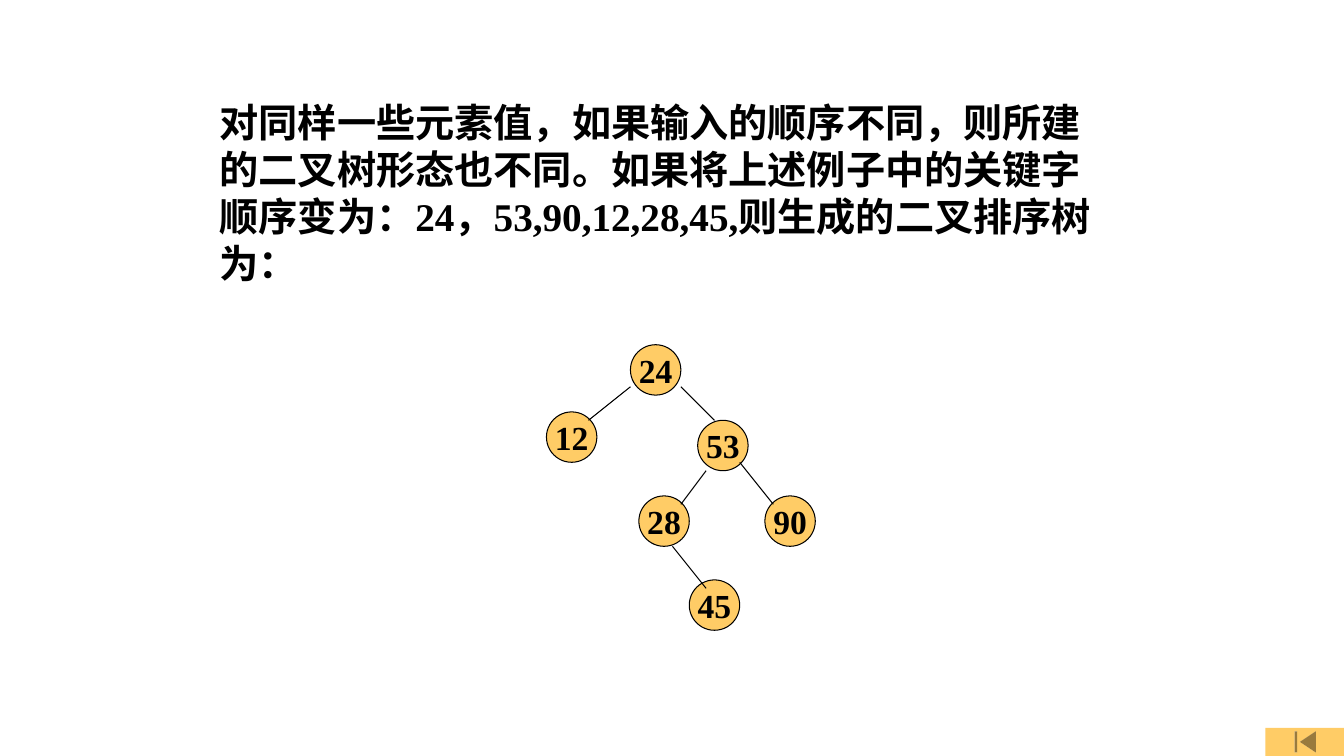
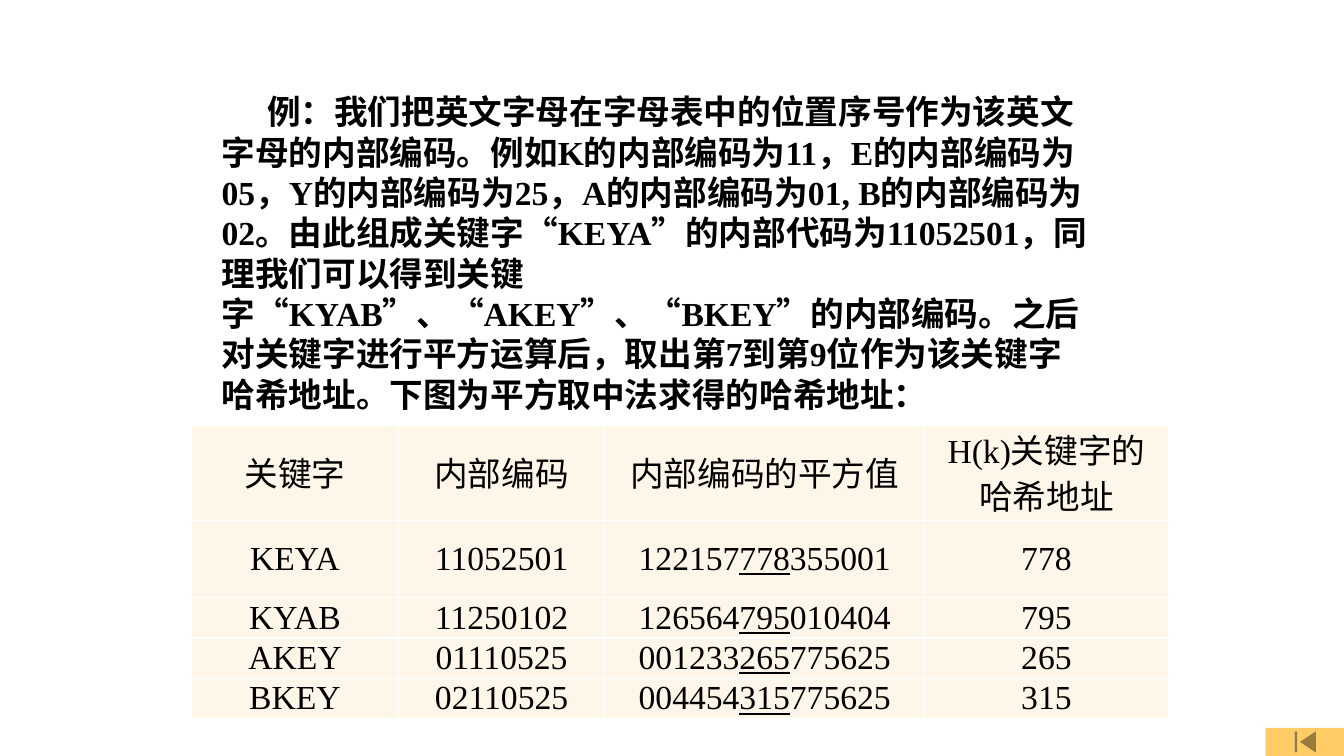
import pptx
import pptx.util
import pptx.dml.color
import pptx.enum.shapes
import pptx.enum.text
import pptx.oxml
import pptx.oxml.ns

Inches = pptx.util.Inches
Pt = pptx.util.Pt
SHAPE = pptx.enum.shapes.MSO_SHAPE
ALIGN = pptx.enum.text.PP_ALIGN
MIDDLE = pptx.enum.text.MSO_ANCHOR.MIDDLE
qn = pptx.oxml.ns.qn

COLORS = {"accent": "FFCC66", "text": "000000", "cell": "FFF6EA", "border": "FFFFFF"}
LATIN = "Times New Roman"
CJK = "Noto Sans CJK SC"
BLANK_LAYOUT = 6

ORDER_TEXT = (
    "对同样一些元素值，如果输入的顺序不同，则所建的二叉树形态也不同。"
    "如果将上述例子中的关键字顺序变为：24，53,90,12,28,45,则生成的二叉排序树为："
)
ENCODING_TEXT = (
    "例：我们把英文字母在字母表中的位置序号作为该英文字母的内部编码。"
    "例如K的内部编码为11，E的内部编码为05，Y的内部编码为25，A的内部编码为01, B的内部编码为02。"
    "由此组成关键字“KEYA”的内部代码为11052501，"
    "同理我们可以得到关键字“KYAB”、“AKEY”、“BKEY”的内部编码。"
    "之后对关键字进行平方运算后，取出第7到第9位作为该关键字哈希地址。"
)
CAPTION_TEXT = "下图为平方取中法求得的哈希地址："

TREE_UNIT = 1 / 12
NODE_UNITS = 6
TREE_NODES = {
    "24": (10, 0), "12": (0, 8), "28": (11, 18),
    "53": (18, 9), "90": (26, 18), "45": (17, 28),
}
TREE_EDGES = [
    (10, 5, 5, 9), (16, 5, 20, 9), (19, 15, 16, 19),
    (23, 14, 27, 19), (15, 24, 19, 29),
]

HASH_HEADER = ["关键字", "内部编码", "内部编码的平方值", "H(k)关键字的哈希地址"]
HASH_ROWS = [
    ("KEYA", "11052501", "122157778355001"),
    ("KYAB", "11250102", "126564795010404"),
    ("AKEY", "01110525", "001233265775625"),
    ("BKEY", "02110525", "004454315775625"),
]
HASH_DIGITS = slice(6, 9)
COLUMN_WIDTHS = [2.05, 2.05, 3.17, 2.42]
ROW_HEIGHTS = [0.94, 0.77, 0.4, 0.4, 0.4]


def color(name):
    return pptx.dml.color.RGBColor.from_string(COLORS[name])


def apply_format(target, values):
    for attribute, value in values.items():
        setattr(target, attribute, value)


def paint(shape, fill):
    shape.shadow.inherit = False
    shape.fill.solid()
    shape.fill.fore_color.rgb = color(fill)


def write_run(paragraph, text, latin=LATIN, **font_format):
    run = paragraph.add_run()
    run.text = text
    apply_format(run.font, {"name": latin, **font_format})
    run.font.color.rgb = color("text")
    properties = run._r.get_or_add_rPr()
    properties.set("lang", "zh-CN")
    east_asian = pptx.oxml.parse_xml(
        f'<a:ea {pptx.oxml.ns.nsdecls("a")} typeface="{CJK}"/>')
    properties.find(qn("a:latin")).addnext(east_asian)


def add_passage(slide, box, runs, size, first_indent=0):
    passage = slide.shapes.add_textbox(*map(Inches, box))
    apply_format(passage.text_frame, {"word_wrap": True, "vertical_anchor": MIDDLE})
    paragraph = passage.text_frame.paragraphs[0]
    paragraph.line_spacing = Pt(size * 1.2)
    if first_indent:
        paragraph._p.get_or_add_pPr().set("indent", str(Inches(first_indent)))
    for text, latin in runs:
        write_run(paragraph, text, latin, size=Pt(size), bold=True)


def add_tree(slide, left, top):
    tree = slide.shapes.add_group_shape()

    def place(column, row):
        return Inches(left + column * TREE_UNIT), Inches(top + row * TREE_UNIT)

    diameter = Inches(NODE_UNITS * TREE_UNIT)
    for key, position in TREE_NODES.items():
        node = tree.shapes.add_shape(SHAPE.OVAL, *place(*position), diameter, diameter)
        paint(node, "accent")
        node.line.color.rgb = color("text")
        node.line.width = Pt(0.75)
        apply_format(node.text_frame, {"word_wrap": False, "vertical_anchor": MIDDLE})
        paragraph = node.text_frame.paragraphs[0]
        paragraph.alignment = ALIGN.CENTER
        write_run(paragraph, key, size=Pt(24), bold=True)
    for x1, y1, x2, y2 in TREE_EDGES:
        edge = tree.shapes.add_connector(
            pptx.enum.shapes.MSO_CONNECTOR.STRAIGHT, *place(x1, y1), *place(x2, y2))
        edge.line.color.rgb = color("text")
        edge.line.width = Pt(0.75)
        edge._element.spPr.append(pptx.oxml.parse_xml(
            f'<a:effectLst {pptx.oxml.ns.nsdecls("a")}/>'))


def style_cell(cell):
    apply_format(cell, {
        "vertical_anchor": MIDDLE,
        "margin_left": Inches(0.07), "margin_right": Inches(0.07),
        "margin_top": 0, "margin_bottom": 0,
    })
    properties = cell._tc.get_or_add_tcPr()
    for side in ("lnL", "lnR", "lnT", "lnB"):
        properties.append(pptx.oxml.parse_xml(
            f'<a:{side} {pptx.oxml.ns.nsdecls("a")} w="{Pt(1)}"><a:solidFill>'
            f'<a:srgbClr val="{COLORS["border"]}"/></a:solidFill></a:{side}>'))
    cell.fill.solid()
    cell.fill.fore_color.rgb = color("cell")


def add_hash_table(slide, left, top):
    frame = slide.shapes.add_table(
        len(ROW_HEIGHTS), len(COLUMN_WIDTHS), Inches(left), Inches(top),
        Inches(sum(COLUMN_WIDTHS)), Inches(sum(ROW_HEIGHTS)))
    table = frame.table
    apply_format(table, {"first_row": False, "horz_banding": False})
    for column, width in zip(table.columns, COLUMN_WIDTHS):
        column.width = Inches(width)
    for row, height in zip(table.rows, ROW_HEIGHTS):
        row.height = Inches(height)

    contents = [[[title] for title in HASH_HEADER]]
    for key, code, square in HASH_ROWS:
        address = square[HASH_DIGITS]
        parts = [square[:HASH_DIGITS.start], address, square[HASH_DIGITS.stop:]]
        contents.append([[key], [code], parts, [address]])

    for row_index, row_parts in enumerate(contents):
        for column_index, parts in enumerate(row_parts):
            cell = table.cell(row_index, column_index)
            style_cell(cell)
            paragraph = cell.text_frame.paragraphs[0]
            paragraph.alignment = ALIGN.CENTER
            if row_index == 0:
                paragraph.line_spacing = Pt(33.5)
            for part_index, part in enumerate(parts):
                write_run(paragraph, part, size=Pt(24), bold=False,
                          underline=part_index == 1)


def add_base_slide(deck):
    slide = deck.slides.add_slide(deck.slide_layouts[BLANK_LAYOUT])
    button = slide.shapes.add_shape(
        SHAPE.ACTION_BUTTON_BEGINNING,
        Inches(12.55), Inches(7.22), Inches(0.79), Inches(0.28))
    paint(button, "accent")
    button.line.fill.background()
    return slide


def build_tree_slide(deck):
    slide = add_base_slide(deck)
    add_passage(slide, (2.08, 0.92, 9.08, 1.97), [(ORDER_TEXT, LATIN)], 28)
    add_tree(slide, 5.42, 3.42)


def build_hash_slide(deck):
    slide = add_base_slide(deck)
    add_hash_table(slide, 1.9, 4.22)
    add_passage(slide, (2.1, 0.84, 8.82, 3.33),
                [(ENCODING_TEXT, LATIN), (CAPTION_TEXT, CJK)], 24, 0.45)


def main():
    deck = pptx.Presentation()
    apply_format(deck, {"slide_width": Inches(13.33), "slide_height": Inches(7.5)})
    build_tree_slide(deck)
    build_hash_slide(deck)
    deck.save("out.pptx")


if __name__ == "__main__":
    main()
